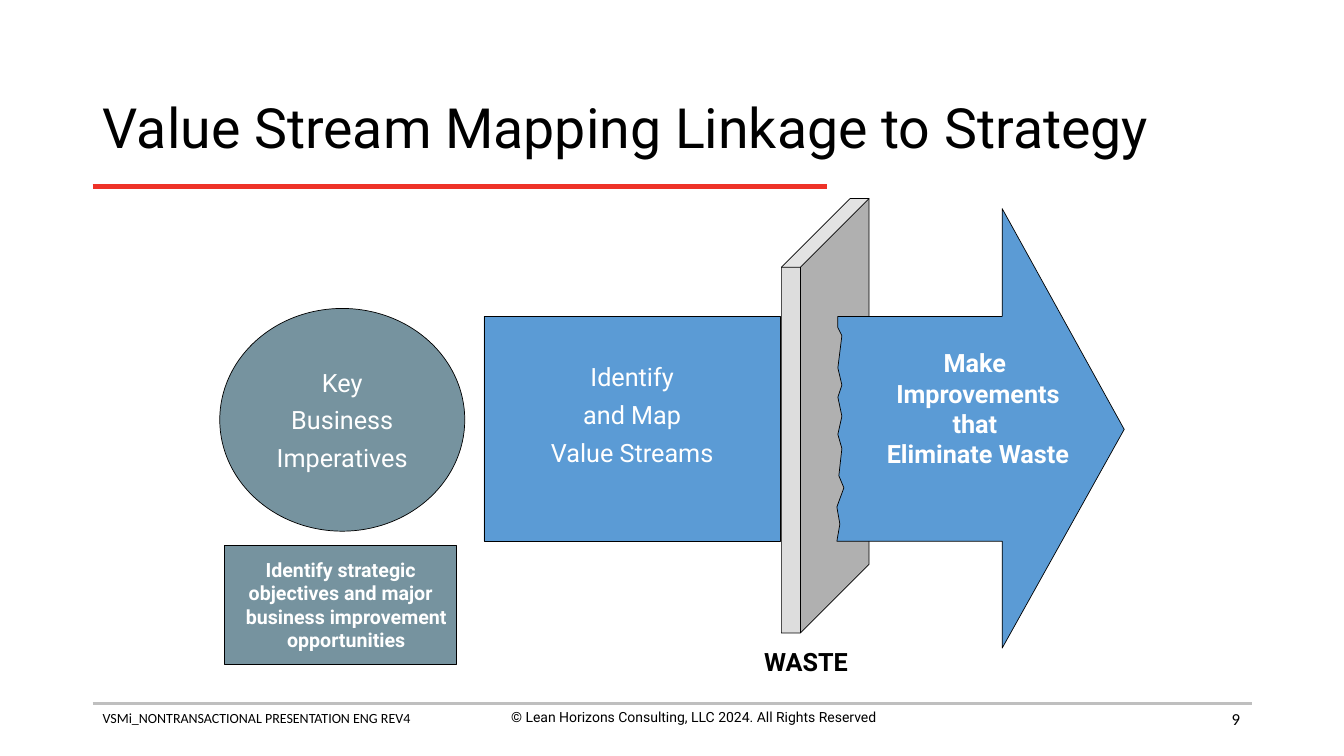
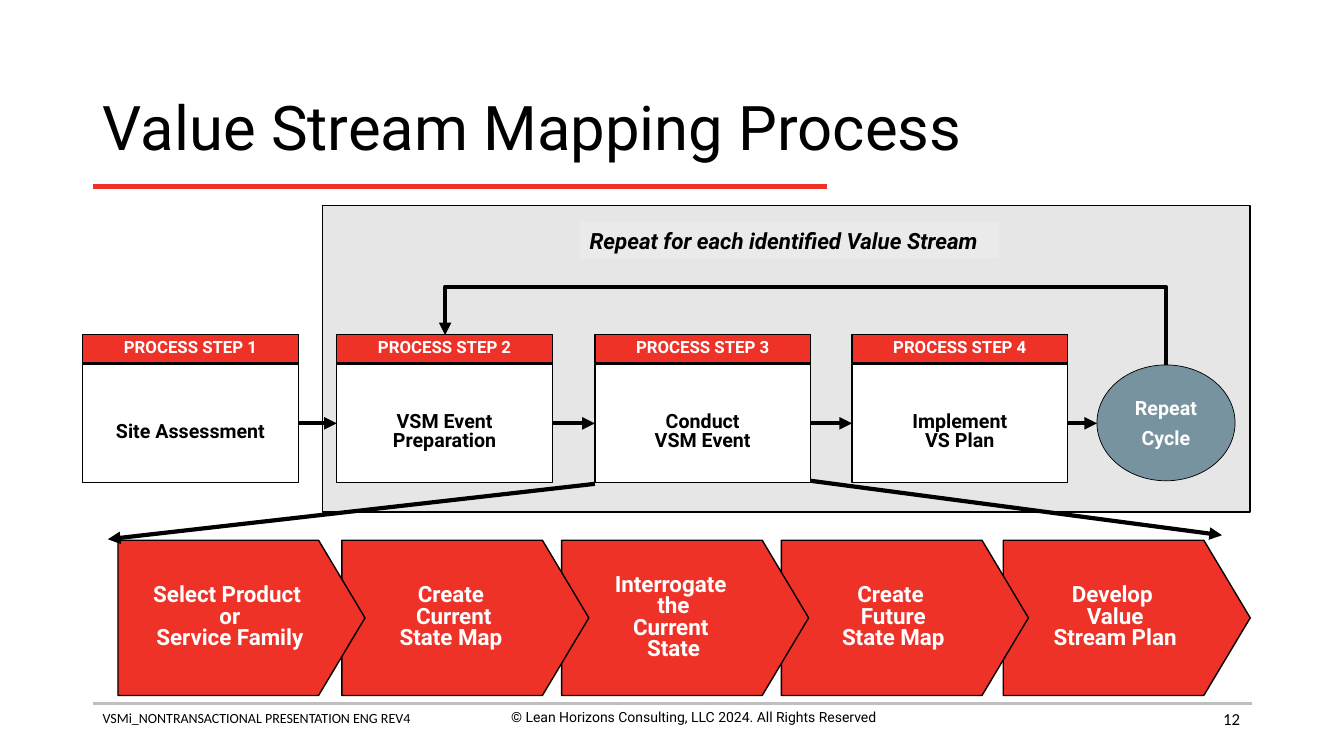
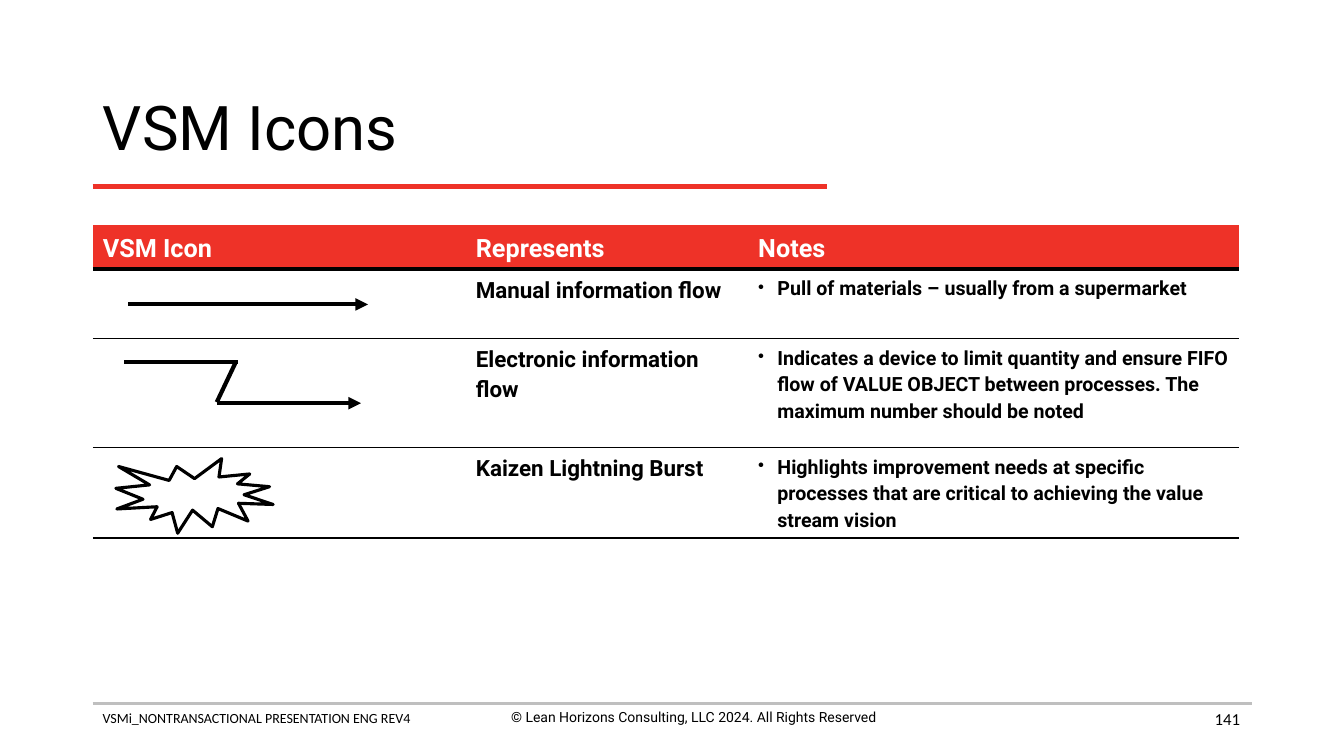
from lxml import etree
from pptx import Presentation
from pptx import util as u
from pptx.dml.color import RGBColor
from pptx.enum import shapes, text
from pptx.oxml import ns

PX = 9144  # EMU in one px, 100 px to the inch
BLACK, WHITE, RED = "000000", "FFFFFF", "EE3228"
SLATE, BLUE, GREY = "76939F", "5B9BD5", "BFBFBF"
SHAPE, ALIGN, ANCHOR = shapes.MSO_SHAPE, text.PP_ALIGN, text.MSO_ANCHOR
CONNECTOR = shapes.MSO_CONNECTOR


def px(*lengths):
    return [u.Emu(length * PX) for length in lengths]


def color(hex_string):
    return RGBColor.from_string(hex_string)


def add_xml(parent, tag, **attributes):
    values = {name: str(value) for name, value in attributes.items()}
    return etree.SubElement(parent, ns.qn(tag), values)


def hang(paragraph, indent):
    """Set a hanging indent in px."""
    properties = paragraph._p.get_or_add_pPr()
    properties.set("marL", str(indent * PX))
    properties.set("indent", str(-indent * PX))
    return properties


class Deck:
    """Holds the shared style and the slide being built."""

    font = "Roboto"

    def __init__(self):
        self.presentation = Presentation()
        self.presentation.slide_width, self.presentation.slide_height = px(1333, 750)
        self.slide = None

    def new_slide(self, title, number, title_size=44):
        layout = self.presentation.slide_layouts[5]
        self.slide = self.presentation.slides.add_slide(layout)
        self.line((92, 698), (1242, 698), GREY, 2)
        self.text_box((92, 699, 456, 27), "VSMi_NONTRANSACTIONAL PRESENTATION ENG REV4",
                      size=10, font="Calibri")
        self.text_box((460, 698, 456, 44),
                      "© Lean Horizons Consulting, LLC 2024. All Rights Reserved",
                      size=10, align=ALIGN.CENTER)
        self.line((92, 185), (820, 185), RED, 3)
        heading = self.slide.shapes.title
        heading.left, heading.top, heading.width, heading.height = px(92, 74, 1150, 110)
        self.fill_frame(heading.text_frame, title, size=title_size,
                        anchor=ANCHOR.MIDDLE, spacing=0.9)
        self.text_box((940, 693, 300, 40), number, size=12, font="Calibri",
                      align=ALIGN.RIGHT, anchor=ANCHOR.MIDDLE)

    def fill_frame(self, frame, content, size, ink=BLACK, bold=False, italic=False,
                   font=None, align=ALIGN.LEFT, anchor=ANCHOR.TOP, spacing=None,
                   gap=0, indent=0, insets=(10, 5, 10, 5), wrap=True):
        """Fill a frame; a newline starts a paragraph, a vertical tab a line."""
        frame.text = content
        frame.word_wrap = wrap
        frame.auto_size = text.MSO_AUTO_SIZE.NONE
        frame.vertical_anchor = anchor
        (frame.margin_left, frame.margin_top,
         frame.margin_right, frame.margin_bottom) = px(*insets)
        for index, paragraph in enumerate(frame.paragraphs):
            if indent:
                hang(paragraph, indent)
            paragraph.space_before = u.Pt(gap if index else 0)
            self.style_runs(paragraph, size, ink, bold, italic, font, align, spacing)

    def style_runs(self, paragraph, size, ink, bold=False, italic=False, font=None,
                   align=ALIGN.LEFT, spacing=None):
        paragraph.alignment = align
        if spacing:
            paragraph.line_spacing = spacing
        for run in paragraph.runs:
            run.font.name = font or self.font
            run.font.size = u.Pt(size)
            run.font.bold, run.font.italic = bold, italic
            run.font.color.rgb = color(ink)

    def text_box(self, box, content, **style):
        shape = self.slide.shapes.add_textbox(*px(*box))
        self.fill_frame(shape.text_frame, content, **style)

    def paint(self, shape, fill, outline, width):
        shape.shadow.inherit = False
        if fill:
            shape.fill.solid()
            shape.fill.fore_color.rgb = color(fill)
        else:
            shape.fill.background()
        if outline:
            shape.line.color.rgb = color(outline)
            shape.line.width = u.Pt(width)
        else:
            shape.line.fill.background()

    def shape(self, kind, box, fill, content=None, outline=BLACK, width=0.5,
              adjust=None, **style):
        shape = self.slide.shapes.add_shape(kind, *px(*box))
        if adjust is not None:
            shape.adjustments[0] = adjust
        self.paint(shape, fill, outline, width)
        if content:
            style = {"align": ALIGN.CENTER, "anchor": ANCHOR.MIDDLE, "wrap": False, **style}
            self.fill_frame(shape.text_frame, content, **style)

    def outline_shape(self, points, fill):
        builder = self.slide.shapes.build_freeform(*points[0], scale=PX)
        builder.add_line_segments(points[1:], close=True)
        self.paint(builder.convert_to_shape(), fill, BLACK, 0.5)

    def line(self, start, end, ink=BLACK, width=3, arrow=False, kind=CONNECTOR.STRAIGHT):
        connector = self.slide.shapes.add_connector(kind, *px(*start, *end))
        connector.line.color.rgb = color(ink)
        connector.line.width = u.Pt(width)
        properties = connector._element.spPr
        if arrow:
            add_xml(properties.find(ns.qn("a:ln")), "a:tailEnd", type="triangle")
        add_xml(properties, "a:effectLst")
        return connector

    def return_arrow(self, start, end, top):
        """Go up from start to top, across to the left, and down to end."""
        run, rise = start[0] - end[0], start[1] - end[1]
        middle_x, middle_y = (start[0] + end[0]) // 2, (start[1] + end[1]) // 2
        left, upper = middle_x - rise // 2, middle_y - run // 2
        connector = self.line((left + rise, upper), (left, upper + run),
                              arrow=True, kind=CONNECTOR.ELBOW)
        properties = connector._element.spPr
        properties.find(ns.qn("a:xfrm")).set("rot", "5400000")
        geometry = properties.find(ns.qn("a:prstGeom"))
        guides = geometry.find(ns.qn("a:avLst"))
        if guides is None:
            guides = add_xml(geometry, "a:avLst")
        share = round((start[1] - top) / rise * 100000)
        add_xml(guides, "a:gd", name="adj1", fmla=f"val {share}")

    def table(self, left, top, columns, heights, rows):
        """Draw a table with a red header row and a bulleted last column."""
        frame = self.slide.shapes.add_table(
            len(rows), len(columns), *px(left, top, sum(columns), sum(heights)))
        table = frame.table
        table.horz_banding = False
        for column, width in zip(table.columns, px(*columns)):
            column.width = width
        for index, (row, height) in enumerate(zip(table.rows, px(*heights))):
            row.height = height
            for position, cell in enumerate(row.cells):
                above = (0, 3)[index] if index < 2 else 1
                below = 3 if index == 0 else int(index < len(rows) - 1)
                self.borders(cell, above, below)
                self.fill_cell(cell, rows[index][position], index == 0,
                               position == len(columns) - 1)

    def borders(self, cell, above, below):
        properties = cell._tc.get_or_add_tcPr()
        for side, width in (("L", 0), ("R", 0), ("T", above), ("B", below)):
            border = add_xml(properties, f"a:ln{side}", w=int(u.Pt(width)))
            if width:
                add_xml(add_xml(border, "a:solidFill"), "a:srgbClr", val=BLACK)
            else:
                add_xml(border, "a:noFill")

    def fill_cell(self, cell, content, is_header, is_note):
        if is_header:
            cell.fill.solid()
            cell.fill.fore_color.rgb = color(RED)
            cell.vertical_anchor = ANCHOR.BOTTOM
        else:
            cell.fill.background()
        (cell.margin_left, cell.margin_top,
         cell.margin_right, cell.margin_bottom) = px(10, 5, 10, 5)
        if not content:
            return
        cell.text_frame.text = content
        paragraph = cell.text_frame.paragraphs[0]
        if is_note and not is_header:
            properties = hang(paragraph, 19)
            add_xml(add_xml(properties, "a:buClr"), "a:srgbClr", val=BLACK)
            add_xml(properties, "a:buSzPct", val=90000)
            add_xml(properties, "a:buChar", char="•")
        size = 18 if is_header else 14 if is_note else 16
        self.style_runs(paragraph, size, WHITE if is_header else BLACK, bold=True,
                        spacing=1.15)


def linkage_slide(deck):
    deck.new_slide("Value Stream Mapping Linkage to Strategy", "9", title_size=39.6)
    tight = (5, 5, 5, 5)
    deck.shape(SHAPE.OVAL, (218, 306, 243, 221), SLATE, "Key\nBusiness\nImperatives",
               size=18, ink=WHITE, gap=5.4, indent=11, insets=tight)
    deck.shape(SHAPE.RECTANGLE, (480, 314, 294, 223), BLUE,
               "Identify\nand Map\nValue Streams",
               size=18, ink=WHITE, gap=5.4, insets=(5, 5, 5, 34))
    deck.shape(SHAPE.CUBE, (775, 197, 87, 431), "DDDDDD", adjust=0.784)
    arrow_head = [(831, 314), (994, 314), (994, 207), (1115, 426), (994, 643), (994, 537)]
    torn_edge = [(830, 537), (833, 520), (830, 503), (837, 484), (832, 472), (835, 445),
                 (831, 431), (835, 413), (831, 394), (835, 382), (831, 365), (835, 333),
                 (831, 325)]
    deck.outline_shape(arrow_head + torn_edge, BLUE)
    deck.text_box((738, 641, 123, 30), "WASTE", size=18, bold=True,
                  align=ALIGN.CENTER, anchor=ANCHOR.MIDDLE, insets=tight)
    deck.text_box((836, 340, 268, 131),
                  "Make \vImprovements\nthat \vEliminate Waste",
                  size=18, ink=WHITE, bold=True, align=ALIGN.CENTER)
    deck.shape(SHAPE.RECTANGLE, (223, 541, 230, 118), SLATE,
               "Identify strategic\nobjectives and major\vbusiness improvement\vopportunities",
               size=14, ink=WHITE, bold=True, indent=11, insets=tight)


def process_slide(deck):
    deck.new_slide("Value Stream Mapping Process", "12")
    deck.shape(SHAPE.RECTANGLE, (320, 204, 920, 304), "E7E6E6", width=1)
    deck.shape(SHAPE.RECTANGLE, (575, 220, 416, 37), "EAEAEA",
               "Repeat for each identified Value Stream", outline=None, size=16,
               bold=True, italic=True, align=ALIGN.LEFT, anchor=ANCHOR.TOP, wrap=True)
    deck.shape(SHAPE.OVAL, (1088, 362, 137, 115), SLATE, "Repeat\nCycle", size=14,
               ink=WHITE, bold=True, gap=4.2, indent=11, insets=(5, 5, 5, 5))

    step_width, step_top, flow_y = 214, 361, 420
    steps = [(82, "Site Assessment"), (334, "VSM Event\vPreparation"),
             (590, "Conduct\vVSM Event"), (845, "Implement\vVS Plan")]
    for number, (left, label) in enumerate(steps, start=1):
        deck.shape(SHAPE.RECTANGLE, (left, step_top, step_width, 118), WHITE, label,
                   width=1, size=14, bold=True, spacing=0.8, insets=(10, 23, 10, 5))
        deck.shape(SHAPE.RECTANGLE, (left, step_top - 29, step_width, 28), RED,
                   f"PROCESS STEP {number}", width=1, size=12, ink=WHITE, bold=True,
                   spacing=0.8)
    arrow_ends = [left for left, _ in steps[1:]] + [1088]
    for (left, _), end in zip(steps, arrow_ends):
        deck.line((left + step_width, flow_y), (end, flow_y), arrow=True)
    deck.return_arrow((1157, 362), (442, 332), top=284)

    phases = [(117, "Select Product \vor\vService Family"),
              (339, "Create \vCurrent\vState Map "),
              (557, "Interrogate \vthe\vCurrent \vState"),
              (775, "Create \vFuture\vState Map"),
              (995, "Develop \vValue\vStream Plan")]
    for left, label in reversed(phases):
        deck.shape(SHAPE.PENTAGON, (left, 536, 245, 154), RED, label, width=1,
                   adjust=0.299, size=16, ink=WHITE, bold=True, spacing=0.8)
    deck.line((590, 480), (107, 535), arrow=True)
    deck.line((804, 477), (1212, 531), arrow=True)


def icons_slide(deck):
    deck.new_slide("VSM Icons", "141")
    deck.table(92, 223, columns=(370, 280, 487), heights=(43, 69, 108, 90, 83), rows=[
        ("VSM Icon", "Represents", "Notes"),
        ("", "Manual information flow", "Pull of materials – usually from a supermarket"),
        ("", "Electronic information flow",
         "Indicates a device to limit quantity and ensure FIFO flow of VALUE OBJECT "
         "between processes. The maximum number should be noted"),
        ("", "Kaizen Lightning Burst",
         "Highlights improvement needs at specific processes that are critical to "
         "achieving the value stream vision"),
        ("", "", ""),
    ])
    deck.line((127, 302), (365, 302), arrow=True)
    deck.line((123, 359), (236, 359))
    deck.line((215, 400), (358, 400), arrow=True)
    deck.line((234, 359), (215, 399))
    deck.shape(SHAPE.EXPLOSION1, (115, 455, 156, 74), None, width=2.25)


def main():
    deck = Deck()
    linkage_slide(deck)
    process_slide(deck)
    icons_slide(deck)
    deck.presentation.save("out.pptx")


if __name__ == "__main__":
    main()
